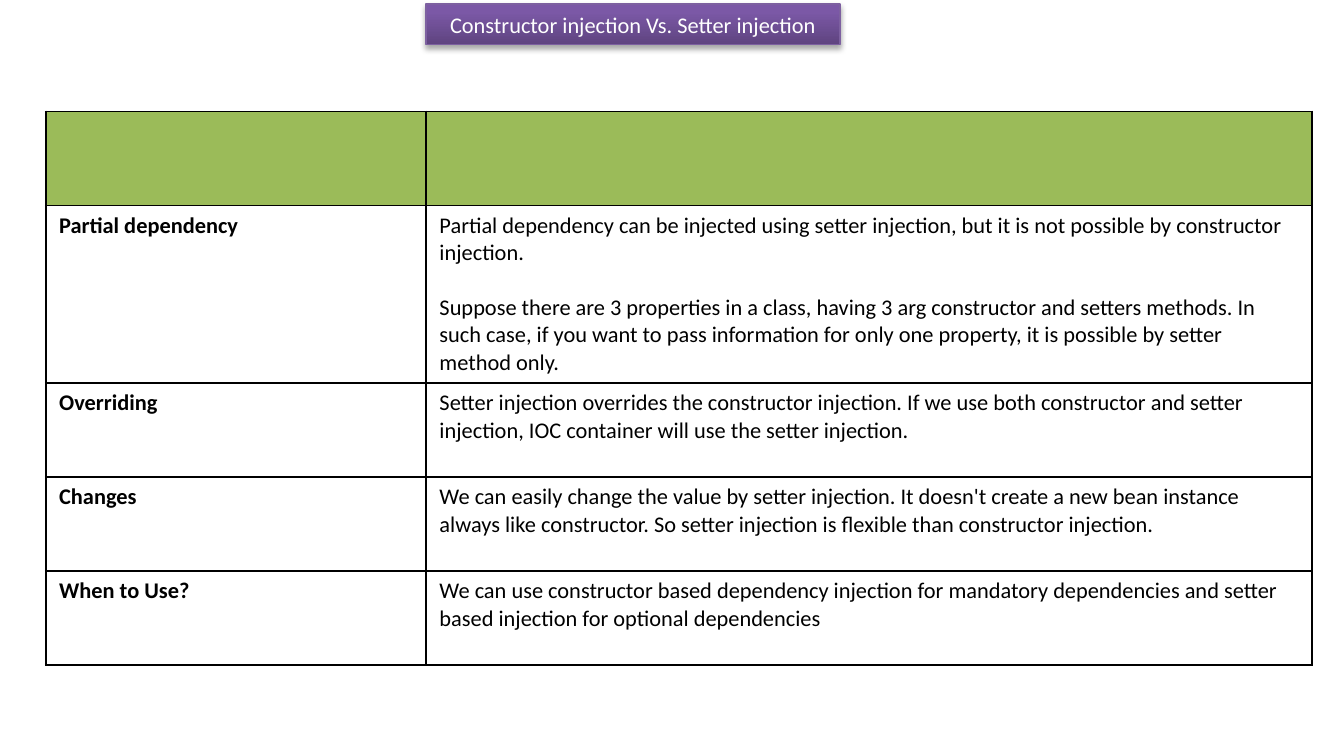
from copy import deepcopy

from pptx import Presentation
from pptx.dml.color import RGBColor
from pptx.enum import shapes, text
from pptx.oxml import parse_xml
from pptx.oxml.ns import nsdecls, qn
from pptx.util import Inches, Pt

BLACK = RGBColor(0x00, 0x00, 0x00)
WHITE = RGBColor(0xFF, 0xFF, 0xFF)
GREEN = RGBColor(0x9B, 0xBB, 0x59)
EDGE = RGBColor(0x7D, 0x60, 0xA0)
STOPS = [
    (0, RGBColor(0x5F, 0x44, 0x80)),
    (0.8, RGBColor(0x7B, 0x58, 0xA6)),
    (1, RGBColor(0x7C, 0x57, 0xA8)),
]
FONT = "Calibri"
TITLE = "Constructor injection Vs. Setter injection"
COLS = [2.83, 6.59]
ROWS = [0.7, 1.3, 0.7, 0.7, 0.7]
TOPICS = [
    ("Partial dependency", [
        "Partial dependency can be injected using setter injection, but it is not "
        "possible by constructor injection.",
        "Suppose there are 3 properties in a class, having 3 arg constructor and "
        "setters methods. In such case, if you want to pass information for only "
        "one property, it is possible by setter method only.",
    ]),
    ("Overriding", [
        "Setter injection overrides the constructor injection. If we use both "
        "constructor and setter injection, IOC container will use the setter injection.",
    ]),
    ("Changes", [
        "We can easily change the value by setter injection. It doesn't create a new "
        "bean instance always like constructor. So setter injection is flexible than "
        "constructor injection.",
    ]),
    ("When to Use?", [
        "We can use constructor based dependency injection for mandatory "
        "dependencies and setter based injection for optional dependencies",
    ]),
]


def add_run(para, words, color, bold=False):
    """Add one styled run to a paragraph."""
    run = para.add_run()
    run.text = words
    run.font.name = FONT
    run.font.size = Pt(12)
    run.font.bold = bold
    run.font.color.rgb = color


def add_shadow(shape):
    """Give a shape a soft shadow below it."""
    shape.shadow.inherit = False
    effects = shape._element.spPr.find(qn("a:effectLst"))
    effects.append(parse_xml(
        f'<a:outerShdw {nsdecls("a")} blurRad="{Pt(3.1)}" dist="{Pt(1.8)}" '
        'dir="5400000" rotWithShape="0"><a:srgbClr val="000000">'
        '<a:alpha val="35000"/></a:srgbClr></a:outerShdw>'
    ))


def add_title(slide, left, top, width, height):
    """Place the purple title bar."""
    bar = slide.shapes.add_shape(
        shapes.MSO_SHAPE.RECTANGLE,
        Inches(left), Inches(top), Inches(width), Inches(height),
    )
    bar.fill.gradient()
    bar.fill.gradient_angle = 90
    stops = next(bar._element.spPr.iter(qn("a:gsLst")))
    stops.append(deepcopy(stops[-1]))
    for stop, (place, color) in zip(bar.fill.gradient_stops, STOPS):
        stop.position = place
        stop.color.rgb = color
    bar.line.color.rgb = EDGE
    bar.line.width = Pt(0.75)
    add_shadow(bar)
    frame = bar.text_frame
    frame.word_wrap = True
    frame.vertical_anchor = text.MSO_ANCHOR.MIDDLE
    para = frame.paragraphs[0]
    para.alignment = text.PP_ALIGN.CENTER
    add_run(para, TITLE, WHITE)


def style_cell(cell, color):
    """Fill a cell and draw its four black borders."""
    cell.fill.solid()
    cell.fill.fore_color.rgb = color
    props = cell._tc.get_or_add_tcPr()
    for spot, side in enumerate(("lnL", "lnR", "lnT", "lnB")):
        props.insert(spot, parse_xml(
            f'<a:{side} {nsdecls("a")} w="{Pt(1)}"><a:solidFill>'
            f'<a:srgbClr val="{BLACK}"/></a:solidFill></a:{side}>'
        ))


def fill_cell(cell, parts, bold):
    """Write paragraphs in a cell, one line apart."""
    frame = cell.text_frame
    for index, words in enumerate(parts):
        para = frame.add_paragraph() if index else frame.paragraphs[0]
        if index:
            para.space_before = Pt(14.65)
        add_run(para, words, BLACK, bold)


def add_grid(slide, left, top):
    """Place the comparison table."""
    table = slide.shapes.add_table(
        len(ROWS), len(COLS), Inches(left), Inches(top),
        Inches(sum(COLS)), Inches(sum(ROWS)),
    ).table
    table.horz_banding = False
    for col, width in zip(table.columns, COLS):
        col.width = Inches(width)
    for index, (row, height) in enumerate(zip(table.rows, ROWS)):
        row.height = Inches(height)
        for cell in row.cells:
            style_cell(cell, WHITE if index else GREEN)
    for index, (topic, parts) in enumerate(TOPICS, 1):
        fill_cell(table.cell(index, 0), [topic], True)
        fill_cell(table.cell(index, 1), parts, False)


def main():
    """Build and save the slide."""
    deck = Presentation()
    deck.slide_width = Inches(10)
    deck.slide_height = Inches(5.5)
    slide = deck.slides.add_slide(deck.slide_layouts[6])
    add_title(slide, 3.17, 0.03, 3.08, 0.3)
    add_grid(slide, 0.34, 0.83)
    deck.save("out.pptx")


if __name__ == "__main__":
    main()
